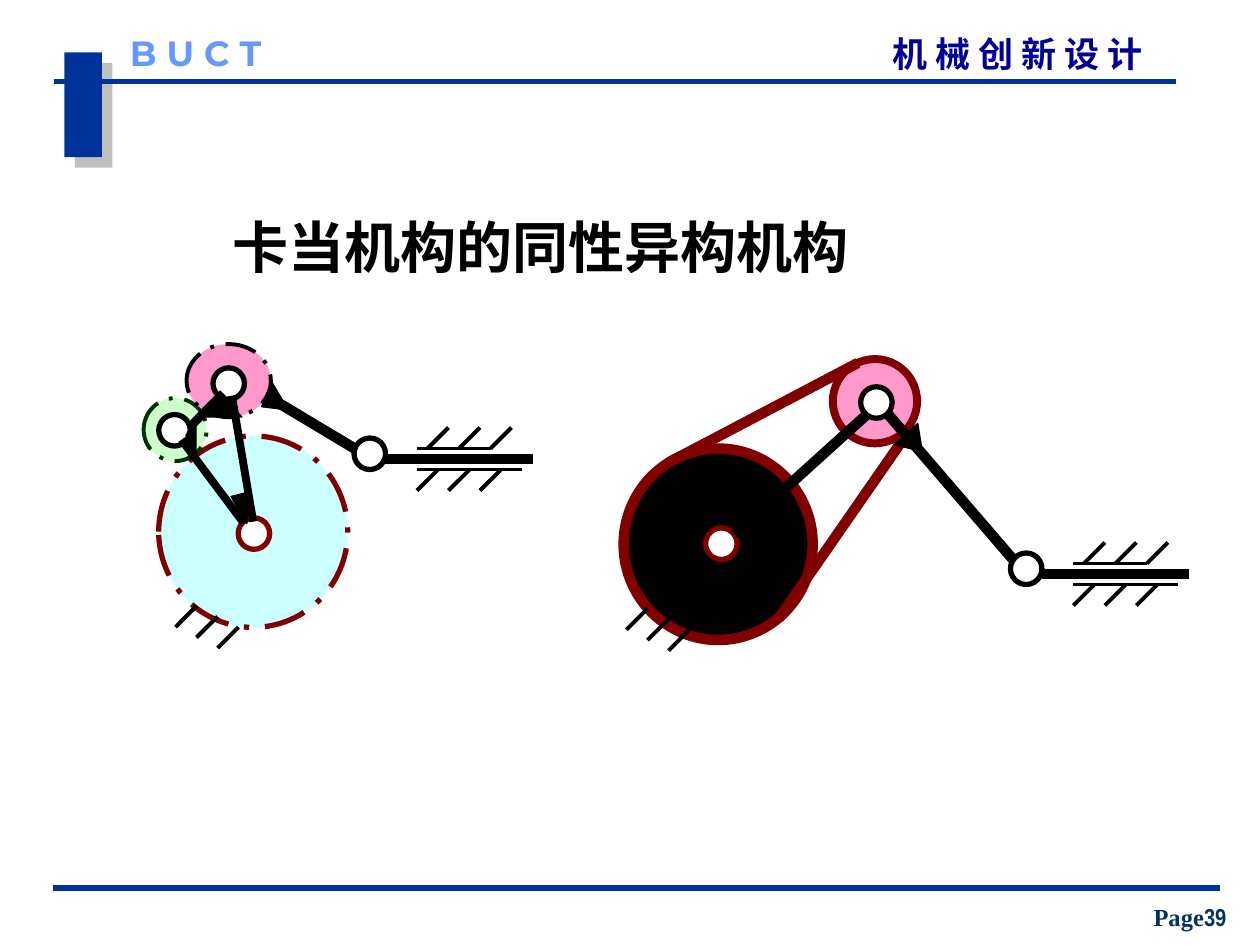
"""Build the slide on isomeric variants of the Cardan mechanism."""
from dataclasses import dataclass
from typing import Optional, Union

from lxml import etree
from pptx import Presentation
from pptx.dml import color
from pptx.enum import dml, shapes, text
from pptx.oxml import ns
from pptx.util import Pt


@dataclass(frozen=True)
class Theme:
    navy: str = "003399"
    heading: str = "000099"
    sky: str = "6699FF"
    footer: str = "003366"
    ink: str = "000000"
    paper: str = "FFFFFF"
    maroon: str = "800000"
    aqua: str = "CCFFFF"
    mint: str = "CCFFCC"
    forest: str = "003300"
    pink: str = "FF99CC"
    shadow: str = "808080"
    title_size: float = 32
    header_size: float = 20
    footer_size: float = 14
    serif: str = "Times New Roman"
    narrow: str = "Arial Narrow"
    display: str = "Montserrat"
    chinese: str = "Noto Sans CJK SC"


THEME = Theme()


@dataclass(frozen=True)
class Disc:
    left: float
    top: float
    width: float = 18
    height: float = 18
    fill: str = THEME.paper
    line: str = THEME.ink
    weight: float = 3
    dashed: bool = False


@dataclass(frozen=True)
class Bar:
    x1: float
    y1: float
    x2: float
    y2: float
    weight: float = 6
    line: str = THEME.ink


@dataclass(frozen=True)
class Wedge:
    left: float
    top: float
    width: float
    height: float
    turn: float = 0


@dataclass(frozen=True)
class Slider:
    x: float
    y: float


@dataclass(frozen=True)
class Ground:
    x: float
    y: float


Part = Union[Disc, Bar, Wedge, Slider, Ground]

GEAR_LINKAGE: list[Part] = [
    Disc(90.7, 249.1, 108, 109.4, THEME.aqua, THEME.maroon, 3, True),
    Disc(136.1, 295.9, line=THEME.maroon),
    Disc(82.1, 227.5, 36, 36, THEME.mint, THEME.forest, 2.25, True),
    Disc(106.6, 196.6, 48.2, 41.8, THEME.pink, THEME.ink, 2.25, True),
    Disc(121.7, 210.2),
    Disc(90.7, 236.9),
    Bar(103.7, 251.3, 139.7, 299.5, 4.5),
    Bar(132.5, 226.1, 144.7, 298.1, 4.5),
    Bar(126.7, 226.1, 108.7, 244.1, 4.5),
    Wedge(97.2, 246.2, 23.8, 5.8, 270),
    Wedge(133.9, 282.2, 10.1, 17.3, 166.2),
    Wedge(114.5, 226.1, 23.8, 12.2),
    Bar(153.4, 226.8, 203.8, 257),
    Wedge(145.4, 223.2, 18.7, 12.2, 239.7),
    Slider(238.3, 256.3),
    Ground(112.3, 346.3),
    Bar(127.4, 224.6, 110.2, 241.9, 4.5),
]

BELT_LINKAGE: list[Part] = [
    Disc(356.4, 256.3, 108, 109.4, THEME.ink, THEME.maroon, 6),
    Disc(475.9, 205.2, 48.2, 48.2, THEME.pink, THEME.maroon, 4.5),
    Disc(403.2, 301.7, line=THEME.maroon),
    Disc(491.8, 221),
    Slider(613.4, 322),
    Bar(518.4, 247.7, 445, 353.5, 6, THEME.maroon),
    Bar(490.3, 207.4, 382.3, 264.2, 6, THEME.maroon),
    Bar(496.1, 236.2, 419.8, 305.3),
    Bar(507.6, 236.9, 578.9, 319.7),
    Wedge(513.4, 246.2, 18, 13.7, 137.6),
    Ground(370, 347.8),
]


def rgb(value: str) -> color.RGBColor:
    """Turn a hex string into a colour."""
    return color.RGBColor.from_string(value)


def add_preset(canvas, preset, left, top, width, height, *, fill: str,
               line: Optional[str] = None, weight: float = 0.75):
    """Add a filled preset shape without a shadow."""
    shape = canvas.add_shape(preset, Pt(left), Pt(top), Pt(width), Pt(height))
    shape.shadow.inherit = False
    shape.fill.solid()
    shape.fill.fore_color.rgb = rgb(fill)
    if line is None:
        shape.line.fill.background()
    else:
        shape.line.color.rgb = rgb(line)
        shape.line.width = Pt(weight)
    return shape


def draw_bar(canvas, bar: Bar) -> None:
    """Draw a straight link, belt or rule."""
    link = canvas.add_connector(shapes.MSO_CONNECTOR.STRAIGHT,
                                Pt(bar.x1), Pt(bar.y1), Pt(bar.x2), Pt(bar.y2))
    link.line.color.rgb = rgb(bar.line)
    link.line.width = Pt(bar.weight)
    etree.SubElement(link._element.spPr, ns.qn("a:effectLst"))


def expand_slider(slider: Slider) -> list[Part]:
    """List the pin, rod, rails and hatching of a slider."""
    x, y = slider.x, slider.y
    parts: list[Part] = [Disc(x - 36, y - 6),
                         Bar(x - 18, y + 6, x + 66, y + 6),
                         Bar(x, y, x + 42, y, 2.25),
                         Bar(x, y + 12, x + 60, y + 12, 2.25)]
    for step in (0, 18, 36):
        parts.append(Bar(x + step + 18, y - 12, x + step + 6, y, 2.25))
        parts.append(Bar(x + step + 12, y + 12, x + step, y + 24, 2.25))
    return parts


def draw_part(canvas, part: Part) -> None:
    """Draw one part of a mechanism."""
    if isinstance(part, Disc):
        disc = add_preset(canvas, shapes.MSO_SHAPE.OVAL, part.left, part.top, part.width,
                          part.height, fill=part.fill, line=part.line, weight=part.weight)
        if part.dashed:
            disc.line.dash_style = dml.MSO_LINE.LONG_DASH_DOT
    elif isinstance(part, Wedge):
        wedge = add_preset(canvas, shapes.MSO_SHAPE.ISOSCELES_TRIANGLE, part.left, part.top,
                           part.width, part.height, fill=THEME.ink, line=THEME.ink)
        wedge.rotation = part.turn
    elif isinstance(part, Slider):
        for piece in expand_slider(part):
            draw_part(canvas, piece)
    elif isinstance(part, Ground):
        for step in range(3):
            x, y = part.x + 12 * step, part.y + 6 * step
            draw_bar(canvas, Bar(x, y, x - 12, y + 12, 2.25))
    else:
        draw_bar(canvas, part)


def add_span(para, words: str, *, size: float, tint: str, font: str) -> None:
    """Append a bold run with its Latin and Chinese fonts."""
    span = para.add_run()
    span.text = words
    span.font.size, span.font.bold, span.font.name = Pt(size), True, font
    span.font.color.rgb = rgb(tint)
    chinese = etree.Element(ns.qn("a:ea"), typeface=THEME.chinese)
    span.font._element.find(ns.qn("a:latin")).addnext(chinese)


def format_frame(box, *, align=text.PP_ALIGN.LEFT, anchor=text.MSO_ANCHOR.TOP, inset=(0, 0)):
    """Set the layout of a text frame and return its first paragraph."""
    frame = box.text_frame
    frame.word_wrap = True
    frame.auto_size = text.MSO_AUTO_SIZE.NONE
    frame.vertical_anchor = anchor
    frame.margin_left = frame.margin_right = Pt(inset[0])
    frame.margin_top = frame.margin_bottom = Pt(inset[1])
    frame.paragraphs[0].alignment = align
    return frame.paragraphs[0]


def add_label(page, left, top, width, height, spans, *, size: float, tint: str, **layout) -> None:
    """Add a text box made of (words, font) spans."""
    box = page.shapes.add_textbox(Pt(left), Pt(top), Pt(width), Pt(height))
    para = format_frame(box, **layout)
    for words, font in spans:
        add_span(para, words, size=size, tint=tint, font=font)


def add_frame(page) -> None:
    """Draw the banner, rules, header and footer."""
    block = add_preset(page.shapes, shapes.MSO_SHAPE.RECTANGLE, 36.8, 30, 21.4, 59.8,
                       fill=THEME.navy)
    effects = block._element.spPr.find(ns.qn("a:effectLst"))
    shadow = etree.SubElement(effects, ns.qn("a:outerShdw"), dist=str(int(Pt(8.5))),
                              dir="2700000", algn="ctr", rotWithShape="0")
    shade = etree.SubElement(shadow, ns.qn("a:srgbClr"), val=THEME.shadow)
    etree.SubElement(shade, ns.qn("a:alpha"), val="50000")
    for left, right, y in ((31, 672, 46.6), (30.2, 697, 507.4)):
        draw_bar(page.shapes, Bar(left, y, right, y, 3, THEME.navy))
    add_label(page, 510, 18.5, 177, 24, [("机 械 创 新 设 计", THEME.chinese)],
              size=THEME.header_size, tint=THEME.heading)
    add_label(page, 74.2, 18, 102, 24, [("B U C T", THEME.display)],
              size=THEME.header_size, tint=THEME.sky)
    add_label(page, 645.8, 512, 68.4, 23.8, [("Page", THEME.serif), ("39", THEME.narrow)],
              size=THEME.footer_size, tint=THEME.footer, align=text.PP_ALIGN.CENTER,
              anchor=text.MSO_ANCHOR.BOTTOM, inset=(7.2, 3.6))


def main() -> None:
    """Build and save the deck."""
    deck = Presentation()
    deck.slide_width, deck.slide_height = Pt(720), Pt(540)
    page = deck.slides.add_slide(deck.slide_layouts[5])
    add_frame(page)
    title = page.shapes.title
    title.left, title.top, title.width, title.height = Pt(82), Pt(122.4), Pt(453.6), Pt(36.7)
    para = format_frame(title, align=text.PP_ALIGN.CENTER, anchor=text.MSO_ANCHOR.MIDDLE)
    add_span(para, "卡当机构的同性异构机构", size=THEME.title_size, tint=THEME.ink, font=THEME.serif)
    for linkage in (GEAR_LINKAGE, BELT_LINKAGE):
        group = page.shapes.add_group_shape()
        for part in linkage:
            draw_part(group.shapes, part)
    deck.save("out.pptx")


if __name__ == "__main__":
    main()
